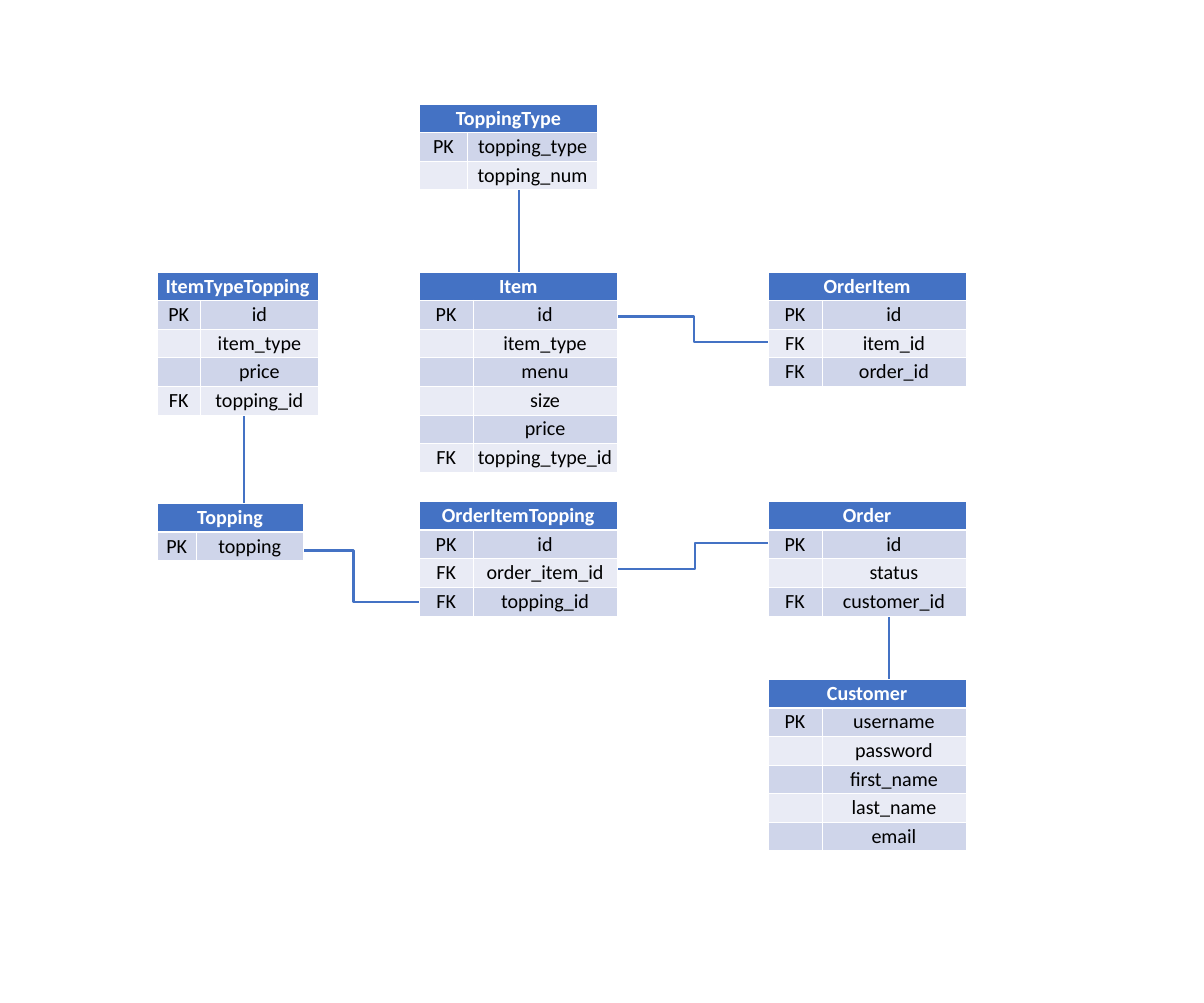
from lxml import etree
from pptx import Presentation
from pptx.dml.color import RGBColor
from pptx.enum.shapes import MSO_CONNECTOR
from pptx.enum.text import PP_ALIGN
from pptx.oxml.ns import qn
from pptx.util import Cm, Pt

CENTER = PP_ALIGN.CENTER
STRAIGHT = MSO_CONNECTOR.STRAIGHT
ELBOW = MSO_CONNECTOR.ELBOW

BLUE, WHITE, BLACK = "4472C4", "FFFFFF", "000000"
BANDS = ("CFD5EA", "E9EBF5")

# Lengths in centimetres
ROW_HEIGHT = 1.78
KEY_SHARE = 0.271
LEFT, MIDDLE, RIGHT = 9.93, 26.54, 48.62
TOP, UPPER, LOWER, BOTTOM = 6.58, 17.22, 31.75, 43
WIDE = 12.52

# Name, left, top, width, fields as (key, column)
ENTITIES = [
    ("Item", MIDDLE, UPPER, WIDE,
     [("PK", "id"), ("", "item_type"), ("", "menu"), ("", "size"),
      ("", "price"), ("FK", "topping_type_id")]),
    ("ToppingType", MIDDLE, TOP, 11.28,
     [("PK", "topping_type"), ("", "topping_num")]),
    ("Topping", LEFT, 31.88, 9.25, [("PK", "topping")]),
    ("ItemTypeTopping", LEFT, UPPER, 10.21,
     [("PK", "id"), ("", "item_type"), ("", "price"), ("FK", "topping_id")]),
    ("Customer", RIGHT, BOTTOM, WIDE,
     [("PK", "username"), ("", "password"), ("", "first_name"),
      ("", "last_name"), ("", "email")]),
    ("Order", RIGHT, LOWER, WIDE,
     [("PK", "id"), ("", "status"), ("FK", "customer_id")]),
    ("OrderItem", RIGHT, UPPER, WIDE,
     [("PK", "id"), ("FK", "item_id"), ("FK", "order_id")]),
    ("OrderItemTopping", MIDDLE, LOWER, WIDE,
     [("PK", "id"), ("FK", "order_item_id"), ("FK", "topping_id")]),
]

# Kind, start x, start y, end x, end y
RELATIONS = [
    (ELBOW, 38.61, 20.04, 49.2, 21.67),        # Item to OrderItem
    (STRAIGHT, 32.84, 11.46, 32.84, UPPER),    # ToppingType to Item
    (STRAIGHT, 56.24, 38.1, 56.24, 43.87),     # Order to Customer
    (ELBOW, 37.82, 36.02, 50.17, 34.39),       # OrderItemTopping to Order
    (ELBOW, 18.21, 34.85, MIDDLE, 38.1),       # Topping to OrderItemTopping
    (STRAIGHT, 15.44, 26.11, 15.44, 31.88),    # ItemTypeTopping to Topping
]


def rgb(color):
    """Turn a hex string into a colour."""
    return RGBColor.from_string(color)


def write_text(frame, text, size=36, color=BLACK, bold=False, font="Calibri"):
    """Write one centred, formatted line into a text frame."""
    paragraph = frame.paragraphs[0]
    paragraph.alignment = CENTER
    run = paragraph.add_run()
    run.text = text
    run.font.name = font
    run.font.size = Pt(size)
    run.font.bold = bold
    run.font.color.rgb = rgb(color)


def add_borders(cell, top=1, bottom=1):
    """Draw white borders, with widths in points, around a cell."""
    properties = cell._tc.get_or_add_tcPr()
    for side, width in (("L", 1), ("R", 1), ("T", top), ("B", bottom)):
        border = etree.SubElement(properties, qn(f"a:ln{side}"), w=str(Pt(width)))
        fill = etree.SubElement(border, qn("a:solidFill"))
        etree.SubElement(fill, qn("a:srgbClr"), val=WHITE)


def fill_cell(cell, text, fill, borders, **text_format):
    """Give a cell its borders, fill and text."""
    add_borders(cell, **borders)
    cell.fill.solid()
    cell.fill.fore_color.rgb = rgb(fill)
    if text:
        write_text(cell.text_frame, text, **text_format)


def add_entity(slide, name, left, top, width, fields):
    """Add an entity table: a merged header above key and column pairs."""
    row_count = len(fields) + 1
    table = slide.shapes.add_table(row_count, 2, Cm(left), Cm(top), Cm(width),
                                   Cm(ROW_HEIGHT * row_count)).table
    key_width = width * KEY_SHARE
    table.columns[0].width = Cm(key_width)
    table.columns[1].width = Cm(width - key_width)
    for row in table.rows:
        row.height = Cm(ROW_HEIGHT)

    table.cell(0, 0).merge(table.cell(0, 1))
    for column, title in enumerate((name, "")):
        fill_cell(table.cell(0, column), title, BLUE, {"bottom": 3},
                  color=WHITE, bold=True)
    for number, field in enumerate(fields, start=1):
        borders = {"top": 3 if number == 1 else 1}
        for column, text in enumerate(field):
            fill_cell(table.cell(number, column), text,
                      BANDS[(number - 1) % 2], borders)


def add_relation(slide, kind, *ends):
    """Join two entities with a blue connector."""
    relation = slide.shapes.add_connector(kind, *map(Cm, ends))
    relation.line.color.rgb = rgb(BLUE)
    relation.line.width = Pt(4)
    etree.SubElement(relation._element.spPr, qn("a:effectLst"))


def main():
    """Build the entity relationship diagram."""
    deck = Presentation()
    deck.slide_width, deck.slide_height = Cm(76.2), Cm(63.5)
    slide = deck.slides.add_slide(deck.slide_layouts[6])
    for relation in RELATIONS:
        add_relation(slide, *relation)
    for entity in ENTITIES:
        add_entity(slide, *entity)
    deck.save("out.pptx")


main()
